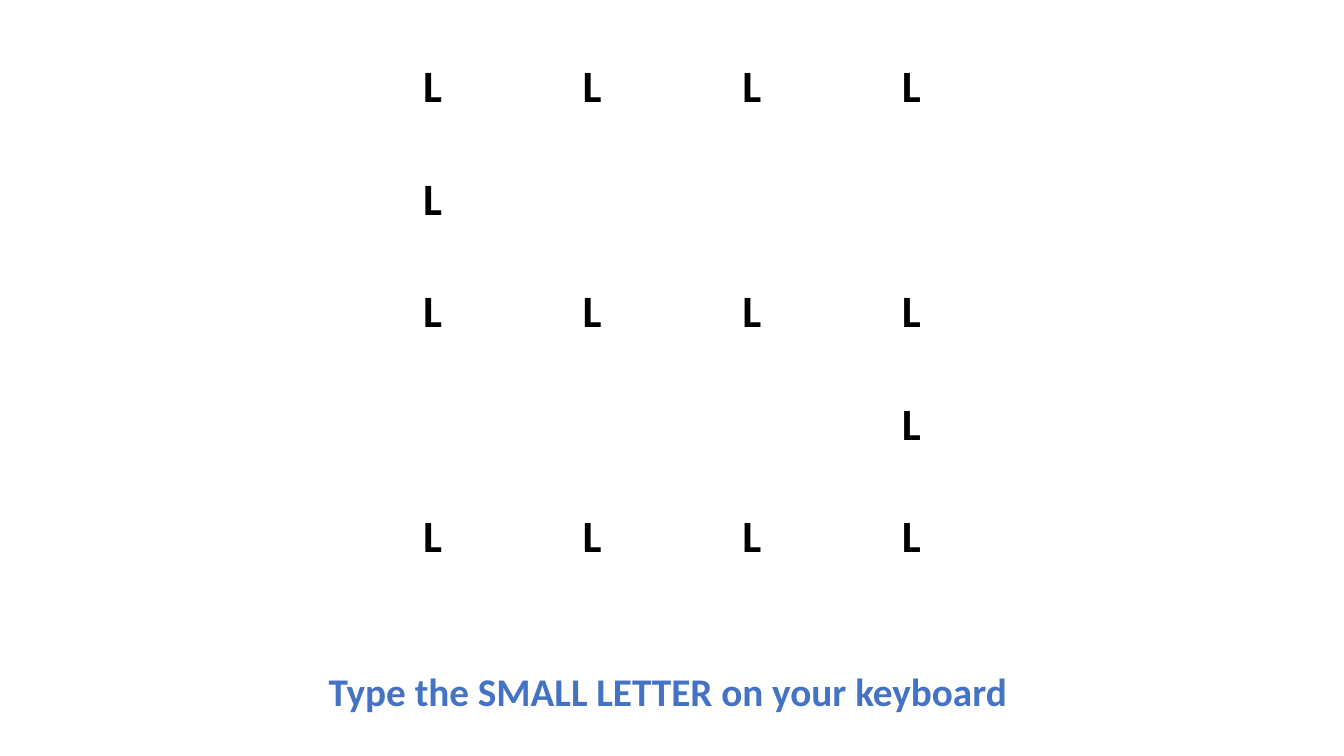
from pptx import Presentation
from pptx import util as u
from pptx.dml.color import RGBColor
from pptx.enum import text

LETTER = "L"
PATTERN = ["####", "#...", "####", "...#", "####"]


def color(value):
    return RGBColor.from_string(value)


class SlideBuilder:
    font = "Calibri"
    ink = "000000"
    accent = "4472C4"

    def __init__(self, page):
        self.page = page

    def add_span(self, para, words, size, ink):
        span = para.add_run()
        span.text = words
        span.font.name = self.font
        span.font.size = u.Pt(size)
        span.font.bold = True
        span.font.color.rgb = color(ink)

    def letter_grid(self, pattern, letter, left, top, width, height):
        """Add a plain table with the letter in every cell marked # in the pattern."""
        frame = self.page.shapes.add_table(
            len(pattern), len(pattern[0]),
            u.Inches(left), u.Inches(top), u.Inches(width), u.Inches(height))
        table = frame.table
        table.first_row = table.horz_banding = False
        for row, marks in enumerate(pattern):
            for column, mark in enumerate(marks):
                cell = table.cell(row, column)
                cell.fill.background()
                cell.margin_left = cell.margin_right = u.Inches(0.07)
                cell.margin_top = cell.margin_bottom = 0
                if mark == "#":
                    para = cell.text_frame.paragraphs[0]
                    para.alignment = text.PP_ALIGN.CENTER
                    para.line_spacing = 1.07
                    self.add_span(para, letter, 32, self.ink)

    def instruction(self, words, left, top, width, height):
        box = self.page.shapes.add_textbox(
            u.Inches(left), u.Inches(top), u.Inches(width), u.Inches(height))
        box.text_frame.word_wrap = False
        box.text_frame.auto_size = text.MSO_AUTO_SIZE.SHAPE_TO_FIT_TEXT
        self.add_span(box.text_frame.paragraphs[0], words, 28, self.accent)


def main():
    deck = Presentation()
    deck.slide_width = u.Inches(13.33)
    deck.slide_height = u.Inches(7.5)
    blank_layout = deck.slide_layouts[6]
    builder = SlideBuilder(deck.slides.add_slide(blank_layout))
    builder.letter_grid(PATTERN, LETTER, 3.5, 0.56, 6.33, 5.58)
    builder.instruction("Type the SMALL LETTER on your keyboard", 3.16, 6.57, 7.01, 0.57)
    deck.save("out.pptx")


if __name__ == "__main__":
    main()
